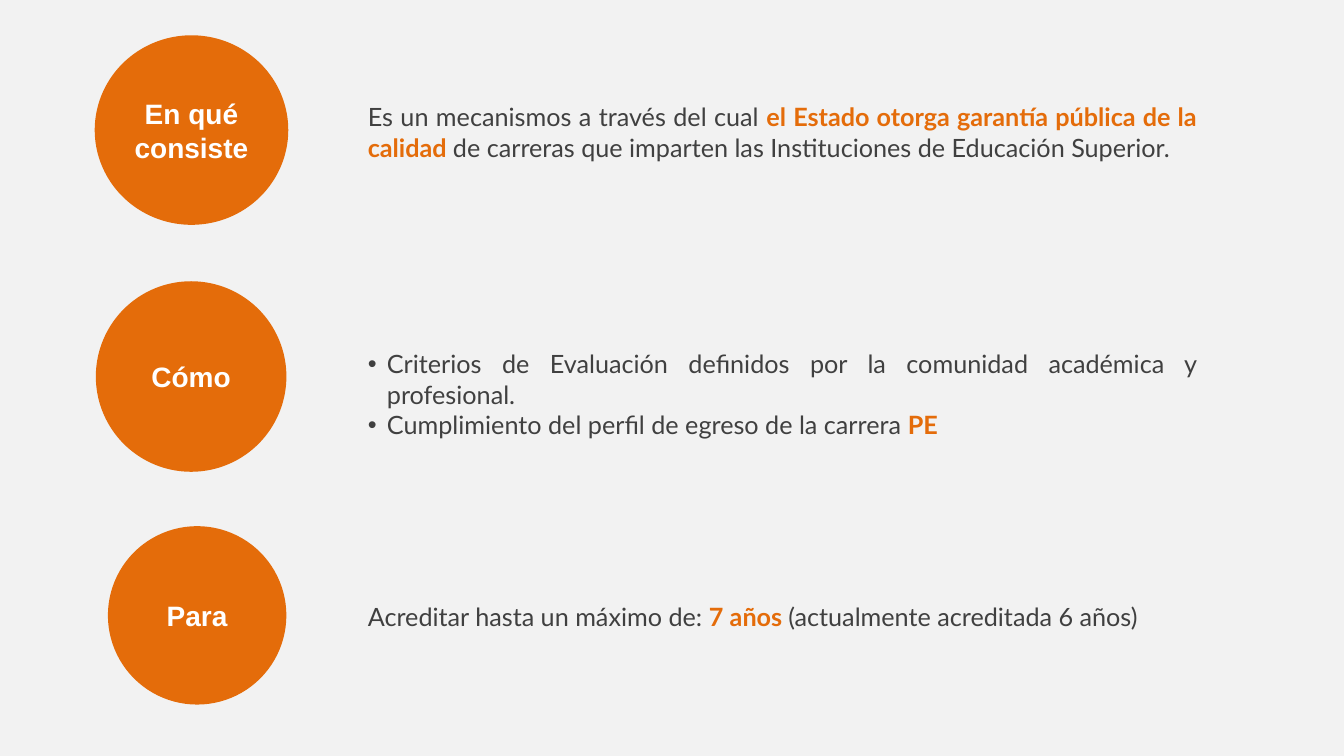
from pptx import Presentation
from pptx.dml.color import RGBColor
from pptx.enum.shapes import MSO_SHAPE
from pptx.enum.text import MSO_ANCHOR, MSO_AUTO_SIZE, PP_ALIGN
from pptx.oxml.ns import qn
from pptx.util import Inches, Pt
from lxml.etree import SubElement

ORANGE = RGBColor(0xE4, 0x6C, 0x0A)
DARK = RGBColor(0x40, 0x40, 0x40)
WHITE = RGBColor(0xFF, 0xFF, 0xFF)
PALE = RGBColor(0xF2, 0xF2, 0xF2)

# Each row: label, circle box, text box, bulleted, paragraphs of (text, is key phrase).
# Boxes are left, top, width, height in percent of the slide.
TEXT_LEFT = 26.63
ROWS = [
    ("En qué consiste", (7.05, 4.67, 14.4, 25.07),
     (TEXT_LEFT, 12.8, 63.17, 13.47), False,
     [[("Es un mecanismos a través del cual ", False),
       ("el Estado otorga garantía pública de la calidad ", True),
       ("de carreras que imparten las Instituciones de Educación Superior.", False)]]),
    ("Cómo", (7.13, 37.2, 14.18, 25.2),
     (TEXT_LEFT, 45.47, 63.17, 13.47), True,
     [[("Criterios de Evaluación definidos por la comunidad académica y profesional.", False)],
      [("Cumplimiento del perfil de egreso de la carrera ", False), ("PE", True)]]),
    ("Para", (8.03, 69.6, 13.28, 23.6),
     (TEXT_LEFT, 78.93, 66.32, 5.33), False,
     [[("Acreditar hasta un máximo de: ", False),
       ("7 años ", True),
       ("(actualmente acreditada 6 años)", False)]]),
]


def assign(target, values):
    for name, value in values.items():
        setattr(target, name, value)


class SlideBuilder:
    label_font = {"name": "Arial", "size": Pt(20), "bold": True}
    body_font = {"name": "Lato", "size": Pt(18)}
    label_frame = {"word_wrap": True, "vertical_anchor": MSO_ANCHOR.MIDDLE,
                   "margin_left": 0, "margin_right": 0}
    body_frame = {"word_wrap": True, "auto_size": MSO_AUTO_SIZE.SHAPE_TO_FIT_TEXT}
    bullet_indent = Inches(0.19)

    def __init__(self, deck):
        self.width, self.height = deck.slide_width, deck.slide_height
        self.slide = deck.slides.add_slide(deck.slide_layouts[6])
        fill = self.slide.background.fill
        fill.solid()
        fill.fore_color.rgb = PALE

    def place(self, box):
        left, top, width, height = box
        return [int(share * side / 100) for share, side in
                ((left, self.width), (top, self.height),
                 (width, self.width), (height, self.height))]

    def phrase(self, paragraph, text, style, color):
        run = paragraph.add_run()
        run.text = text
        assign(run.font, style)
        run.font.color.rgb = color

    def circle(self, box, label):
        disc = self.slide.shapes.add_shape(MSO_SHAPE.OVAL, *self.place(box))
        disc.shadow.inherit = False
        disc.fill.solid()
        disc.fill.fore_color.rgb = ORANGE
        disc.line.fill.background()
        assign(disc.text_frame, self.label_frame)
        paragraph = disc.text_frame.paragraphs[0]
        paragraph.alignment = PP_ALIGN.CENTER
        self.phrase(paragraph, label, self.label_font, WHITE)

    def explanation(self, box, paragraphs, bulleted):
        frame = self.slide.shapes.add_textbox(*self.place(box)).text_frame
        assign(frame, self.body_frame)
        for index, phrases in enumerate(paragraphs):
            paragraph = frame.add_paragraph() if index else frame.paragraphs[0]
            paragraph.alignment = PP_ALIGN.JUSTIFY
            if bulleted:
                self.bullet(paragraph)
            for text, is_key in phrases:
                self.phrase(paragraph, text, {**self.body_font, "bold": is_key},
                            ORANGE if is_key else DARK)

    def bullet(self, paragraph):
        properties = paragraph._p.get_or_add_pPr()
        properties.set("marL", str(self.bullet_indent))
        properties.set("indent", str(-self.bullet_indent))
        SubElement(properties, qn("a:buFont")).set("typeface", "Arial")
        SubElement(properties, qn("a:buChar")).set("char", "•")


def main():
    deck = Presentation()
    deck.slide_width, deck.slide_height = Inches(13.33), Inches(7.5)
    builder = SlideBuilder(deck)

    # One circle and its explanation per row
    for label, circle_box, text_box, bulleted, paragraphs in ROWS:
        builder.circle(circle_box, label)
        builder.explanation(text_box, paragraphs, bulleted)

    deck.save("out.pptx")


if __name__ == "__main__":
    main()
